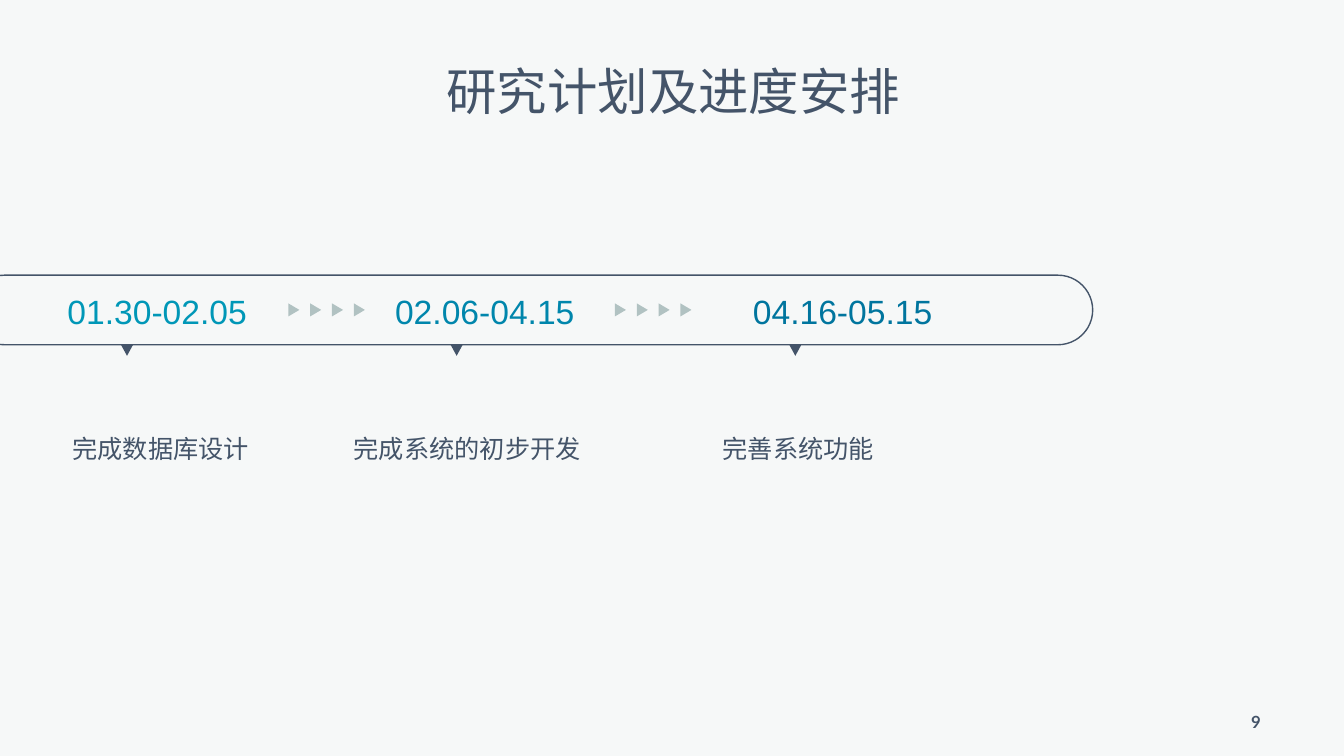
from dataclasses import dataclass

from pptx import Presentation
from pptx.dml.color import RGBColor
from pptx.enum.shapes import MSO_SHAPE
from pptx.enum.text import MSO_ANCHOR, MSO_AUTO_SIZE, PP_ALIGN
from pptx.util import Inches, Pt

PILL = MSO_SHAPE.ROUNDED_RECTANGLE
TRIANGLE = MSO_SHAPE.ISOSCELES_TRIANGLE
LEFT, CENTER = PP_ALIGN.LEFT, PP_ALIGN.CENTER
TOP, BOTTOM = MSO_ANCHOR.TOP, MSO_ANCHOR.BOTTOM
NO_AUTOFIT = MSO_AUTO_SIZE.NONE

PAPER = RGBColor(0xF6, 0xF8, 0xF8)
SLATE = RGBColor(0x44, 0x54, 0x69)
MIST = RGBColor(0xB1, 0xC2, 0xC2)
CYAN = RGBColor(0x00, 0x97, 0xB7)
TEAL = RGBColor(0x00, 0x86, 0xAC)
BLUE = RGBColor(0x00, 0x75, 0x9E)

COLUMNS, ROWS = 40, 30
TITLE_ONLY = 5

# Dates, date colour, task, then the columns of date, pointer and task
PHASES = [
    ("01.30-02.05", CYAN, "完成数据库设计", 2.01, 3.6, 2.16),
    ("02.06-04.15", TEAL, "完成系统的初步开发", 11.76, 13.41, 10.53),
    ("04.16-05.15", BLUE, "完善系统功能", 22.41, 23.49, 21.51),
]
PHASE_WIDTH, PHASE_HEIGHT = 6.84, 1.04
DATE_ROW, POINTER_ROW, TASK_ROW = 11.8, 13.68, 16.6

ARROW_TRAIL_COLUMNS = [8.55, 18.27]
ARROW_ROW, ARROW_PITCH, ARROWS_PER_TRAIL = 12.08, 0.65, 4


@dataclass
class TimelineSlide:
    """Draws styled elements on one slide, measured in grid columns and rows."""

    deck: object
    slide: object
    font: str = "Arial"

    def box(self, column, row, width, height):
        """Turn grid units into left, top, width and height."""
        across = self.deck.slide_width / COLUMNS
        down = self.deck.slide_height / ROWS
        return (round(column * across), round(row * down),
                round(width * across), round(height * down))

    def set_text(self, frame, text, size, color, spacing=1.0, align=LEFT,
                 anchor=TOP, font=None, bold=False):
        """Fill a text frame with one formatted paragraph."""
        frame.auto_size = NO_AUTOFIT
        frame.vertical_anchor = anchor
        frame.text = text
        paragraph = frame.paragraphs[0]
        paragraph.alignment = align
        paragraph.line_spacing = spacing
        paragraph.font.name = font or self.font
        paragraph.font.size = Pt(size)
        paragraph.font.bold = bold
        paragraph.font.color.rgb = color

    def title(self, text, *place):
        """Move, fill and format the title placeholder."""
        heading = self.slide.shapes.title
        heading.left, heading.top, heading.width, heading.height = self.box(*place)
        self.set_text(heading.text_frame, text, 36, SLATE, 0.9, CENTER, BOTTOM)

    def label(self, text, place, size, color, **style):
        """Add a text box without insets."""
        frame = self.slide.shapes.add_textbox(*self.box(*place)).text_frame
        frame.word_wrap = True
        frame.margin_left = frame.margin_right = 0
        frame.margin_top = frame.margin_bottom = 0
        self.set_text(frame, text, size, color, **style)

    def pill(self, *place):
        """Add the outlined bar with round ends."""
        bar = self.slide.shapes.add_shape(PILL, *self.box(*place))
        bar.adjustments[0] = 0.5
        bar.shadow.inherit = False
        bar.fill.background()
        bar.line.color.rgb = SLATE
        bar.line.width = Pt(1)

    def triangle(self, place, color, rotation, group=None):
        """Add a small turned triangle, on the slide or in a group."""
        shapes = (group or self.slide).shapes
        marker = shapes.add_shape(TRIANGLE, *self.box(*place))
        marker.rotation = rotation
        marker.shadow.inherit = False
        marker.fill.solid()
        marker.fill.fore_color.rgb = color
        marker.line.fill.background()

    def arrow_trail(self, column):
        """Add a group of evenly spaced triangles pointing right."""
        trail = self.slide.shapes.add_group_shape()
        for step in range(ARROWS_PER_TRAIL):
            place = (column + step * ARROW_PITCH, ARROW_ROW, 0.39, 0.44)
            self.triangle(place, MIST, 90, trail)


def build():
    """Build the schedule slide and save it."""
    deck = Presentation()
    deck.slide_width, deck.slide_height = Inches(13.33), Inches(7.5)
    slide = deck.slides.add_slide(deck.slide_layouts[TITLE_ONLY])
    slide.background.fill.solid()
    slide.background.fill.fore_color.rgb = PAPER

    schedule = TimelineSlide(deck, slide)
    schedule.title("研究计划及进度安排", 3.51, 2.8, 33.06, 2.2)
    schedule.pill(-0.9, 10.92, 33.42, 2.76)

    for dates, color, task, date_column, pointer_column, task_column in PHASES:
        schedule.label(dates, (date_column, DATE_ROW, PHASE_WIDTH, PHASE_HEIGHT),
                       24, color, spacing=0.83)
        schedule.triangle((pointer_column, POINTER_ROW, 0.36, 0.44), SLATE, 180)
        schedule.label(task, (task_column, TASK_ROW, PHASE_WIDTH, PHASE_HEIGHT),
                       18, SLATE, spacing=1.5)

    for column in ARROW_TRAIL_COLUMNS:
        schedule.arrow_trail(column)

    schedule.label("9", (36.66, 28.24, 1.44, 0.8), 12, SLATE,
                   align=CENTER, font="Lato", bold=True)
    deck.save("out.pptx")


build()
